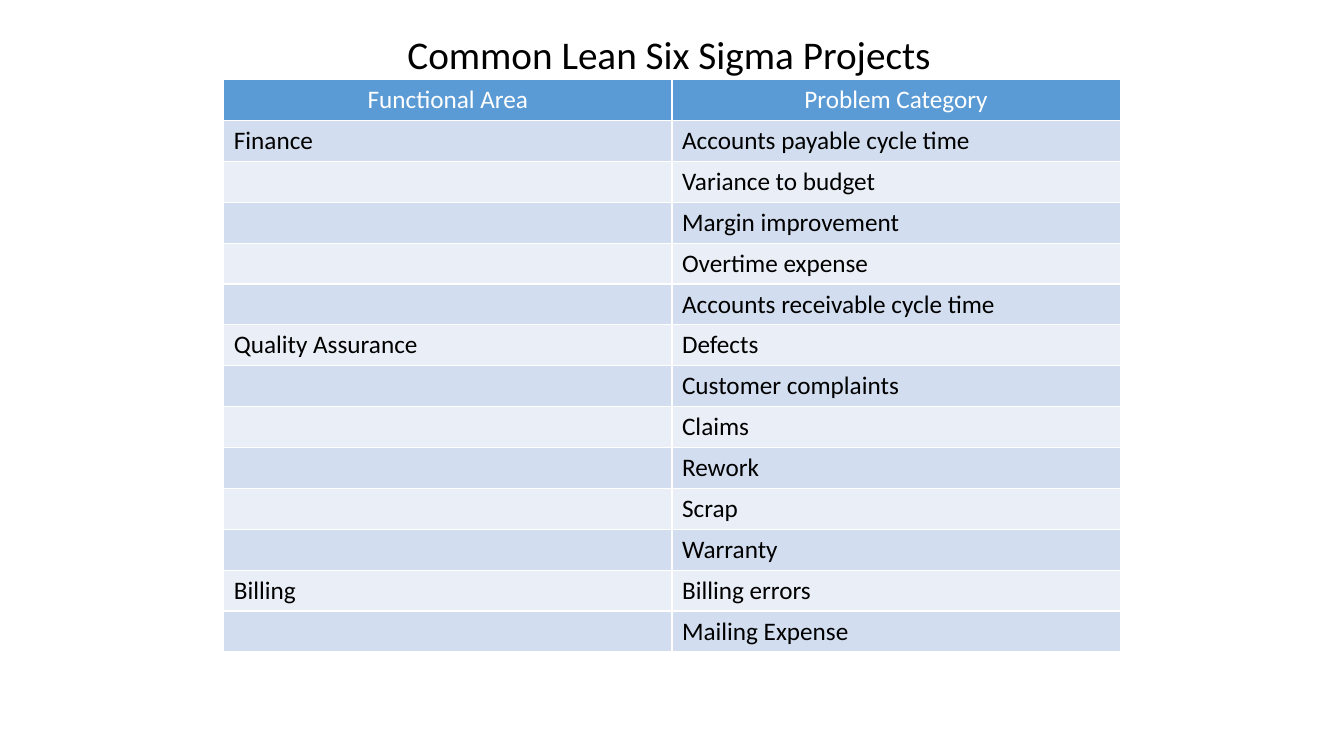
from dataclasses import dataclass

from lxml.etree import SubElement
from pptx import Presentation
from pptx.dml.color import RGBColor as RGB
from pptx.enum.text import MSO_ANCHOR as Anchor, PP_ALIGN as Align
from pptx.oxml.ns import qn
from pptx.util import Inches, Pt


@dataclass(frozen=True)
class Theme:
    font: str = "Calibri"
    title: int = 28
    body: int = 18
    rule: int = 1
    black: str = "000000"
    white: str = "FFFFFF"
    head: str = "5B9BD5"
    bands: tuple = ("D2DEEF", "EAEFF7")


THEME = Theme()
TITLE = "Common Lean Six Sigma Projects"
HEADS = ("Functional Area", "Problem Category")
AREAS = {
    "Finance": ("Accounts payable cycle time", "Variance to budget",
                "Margin improvement", "Overtime expense",
                "Accounts receivable cycle time"),
    "Quality Assurance": ("Defects", "Customer complaints", "Claims",
                          "Rework", "Scrap", "Warranty"),
    "Billing": ("Billing errors", "Mailing Expense"),
}


def write(frame, text, size, color, align):
    para = frame.paragraphs[0]
    para.text = text
    para.alignment = align
    style = {"name": THEME.font, "size": Pt(size), "bold": False}
    for key, value in style.items():
        setattr(para.font, key, value)
    para.font.color.rgb = RGB.from_string(color)


def border(cell):
    props = cell._tc.get_or_add_tcPr()
    for side in ("lnL", "lnR", "lnT", "lnB"):
        line = SubElement(props, qn(f"a:{side}"), w=str(Pt(THEME.rule)))
        fill = SubElement(line, qn("a:solidFill"))
        SubElement(fill, qn("a:srgbClr"), val=THEME.white)


def paint(cell, text, fill, color, align):
    # Borders come before the fill in the cell's XML
    border(cell)
    cell.fill.solid()
    cell.fill.fore_color.rgb = RGB.from_string(fill)
    write(cell.text_frame, text, THEME.body, color, align)


def add_title(slide, left, top, width, height):
    box = slide.shapes.add_textbox(
        Inches(left), Inches(top), Inches(width), Inches(height))
    frame = box.text_frame
    frame.word_wrap = True
    frame.vertical_anchor = Anchor.TOP
    write(frame, TITLE, THEME.title, THEME.black, Align.CENTER)


def add_grid(slide, left, top, width, height):
    # Each area is named only beside its first problem
    rows = [(area if i == 0 else "", item)
            for area, items in AREAS.items()
            for i, item in enumerate(items)]
    count = len(rows) + 1
    table = slide.shapes.add_table(
        count, len(HEADS), Inches(left), Inches(top),
        Inches(width), Inches(height)).table
    for col in table.columns:
        col.width = Inches(width / len(HEADS))
    for row in table.rows:
        row.height = Inches(height / count)

    # Header row
    for c, text in enumerate(HEADS):
        paint(table.cell(0, c), text, THEME.head, THEME.white, Align.CENTER)

    # Banded body rows
    for r, row in enumerate(rows):
        for c, text in enumerate(row):
            paint(table.cell(r + 1, c), text, THEME.bands[r % 2],
                  THEME.black, Align.LEFT)


def main():
    deck = Presentation()
    deck.slide_width, deck.slide_height = Inches(13.33), Inches(7.5)
    slide = deck.slides.add_slide(deck.slide_layouts[6])
    add_title(slide, 1.77, 0.25, 9.73, 0.57)
    add_grid(slide, 2.22, 0.79, 8.89, 5.68)
    deck.save("out.pptx")


if __name__ == "__main__":
    main()
